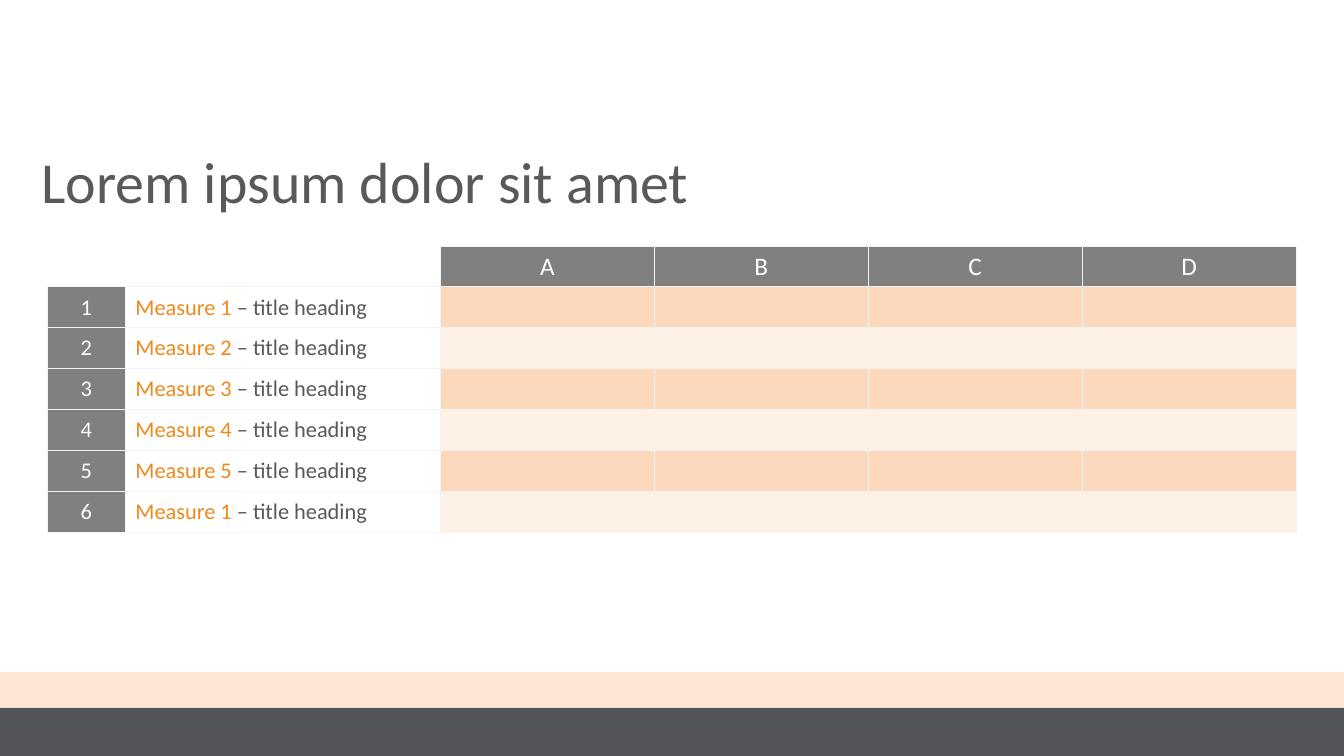
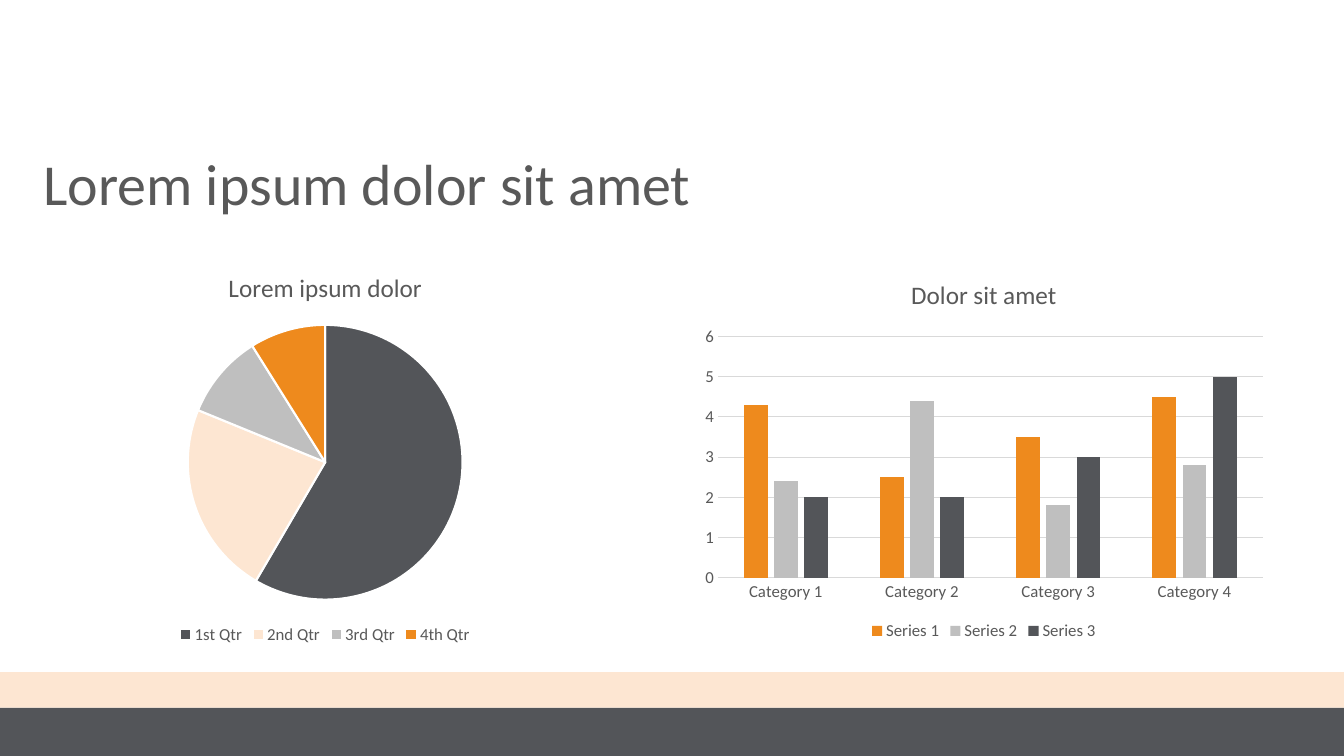
from pptx import Presentation
from pptx.chart.data import CategoryChartData
from pptx.dml.color import RGBColor
from pptx.enum.chart import XL_CHART_TYPE as ChartType, XL_LEGEND_POSITION as LegendPosition
from pptx.enum.chart import XL_TICK_MARK as TickMark
from pptx.enum.shapes import MSO_SHAPE as Shape
from pptx.enum.text import MSO_ANCHOR as Anchor, MSO_AUTO_SIZE as AutoSize, PP_ALIGN as Align
from pptx.oxml import parse_xml
from pptx.oxml.ns import nsdecls
from pptx.util import Cm, Pt

FONT = "Calibri"
COLORS = {name: RGBColor.from_string(value) for name, value in {
    "text": "595959", "white": "FFFFFF", "orange": "EE8A1D", "peach": "FDE6D2",
    "slate": "535559", "silver": "BFBFBF", "grid": "D9D9D9", "header": "808080",
    "row_dark": "FCD9BC", "row_light": "FEF1E6"}.items()}
CELL_BORDER = "F3F3F3"


def set_font(font, size, color):
    font.name, font.size, font.bold = FONT, Pt(size), False
    font.color.rgb = COLORS[color]


def style_chart(chart, title):
    set_font(chart.font, 12, "text")
    chart.has_title = True
    chart.chart_title.include_in_layout = False
    chart.chart_title.text_frame.text = title
    set_font(chart.chart_title.text_frame.paragraphs[0].font, 18, "text")
    chart.has_legend = True
    chart.legend.position = LegendPosition.BOTTOM
    chart.legend.include_in_layout = False
    set_font(chart.legend.font, 12, "text")


deck = Presentation()
deck.slide_width, deck.slide_height = Cm(33.87), Cm(19.05)
layout = deck.slide_layouts.get_by_name("Title Only")

# Pages with their titles
pages = []
for left, top in ((0.79, 3.89), (0.84, 3.96)):
    page = deck.slides.add_slide(layout)
    title = page.shapes.title
    title.left, title.top, title.width, title.height = Cm(left), Cm(top), Cm(30.66), Cm(1.6)
    frame = title.text_frame
    frame.text = "Lorem ipsum dolor sit amet"
    frame.auto_size, frame.vertical_anchor = AutoSize.NONE, Anchor.BOTTOM
    para = frame.paragraphs[0]
    para.alignment, para.line_spacing = Align.LEFT, 0.7
    set_font(para.font, 41.4, "text")
    pages.append(page)
table_page, chart_page = pages

# Footer bands, moved to the shared layout
for top, height, color in ((17.83, 1.22, "slate"), (16.94, 0.89, "peach")):
    band = table_page.shapes.add_shape(Shape.RECTANGLE, 0, Cm(top), deck.slide_width, Cm(height))
    band.shadow.inherit = False
    band.fill.solid()
    band.fill.fore_color.rgb = COLORS[color]
    band.line.fill.background()
    layout.shapes._spTree.append(band._element)

# Table of measures
measures = [1, 2, 3, 4, 5, 1]
rows = [["", "", "A", "B", "C", "D"]]
rows += [[str(number), f"Measure {measure} ", "", "", "", ""]
         for number, measure in enumerate(measures, 1)]
widths = [1.97, 7.94] + [5.39] * 4
table = table_page.shapes.add_table(len(rows), len(widths), Cm(1.19), Cm(6.2),
                                    Cm(sum(widths)), Cm(1.03 * len(rows))).table
for column, width in zip(table.columns, widths):
    column.width = Cm(width)
for r, row in enumerate(rows):
    for c, text in enumerate(row):
        cell = table.cell(r, c)
        cell.vertical_anchor = Anchor.MIDDLE
        is_corner = r == 0 and c < 2
        is_heading = not is_corner and (r == 0 or c == 0)
        if is_corner or c == 1:
            cell.fill.background()
        else:
            cell.fill.solid()
            body_color = "row_dark" if r % 2 else "row_light"
            cell.fill.fore_color.rgb = COLORS["header" if is_heading else body_color]
        para = cell.text_frame.paragraphs[0]
        set_font(para.font, 16 if r and c < 2 else 18, "white" if is_heading else "text")
        if is_heading:
            para.alignment = Align.CENTER
        if text:
            span = para.add_run()
            span.text = text
        if r and c == 1:
            span.font.color.rgb = COLORS["orange"]
            para.add_run().text = "– title heading"
        sides = ("R", "B") if is_corner else ("L", "R", "T", "B")
        for position, side in enumerate(sides):
            cell._tc.get_or_add_tcPr().insert(position, parse_xml(
                f'<a:ln{side} {nsdecls("a")} w="9525"><a:solidFill>'
                f'<a:srgbClr val="{CELL_BORDER}"/></a:solidFill></a:ln{side}>'))
table.cell(0, 0).merge(table.cell(0, 1))

# Column chart
data = CategoryChartData()
data.categories = [f"Category {number}" for number in range(1, 5)]
data.add_series("Series 1", (4.3, 2.5, 3.5, 4.5))
data.add_series("Series 2", (2.4, 4.4, 1.8, 2.8))
data.add_series("Series 3", (2, 2, 3, 5))
chart = chart_page.shapes.add_chart(ChartType.COLUMN_CLUSTERED, Cm(17.48), Cm(6.55),
                                    Cm(14.63), Cm(9.7), data).chart
style_chart(chart, "Dolor sit amet")
plot = chart.plots[0]
plot.gap_width, plot.overlap, plot.vary_by_categories = 219, -27, False
for series, color in zip(plot.series, ("orange", "silver", "slate")):
    series.format.fill.solid()
    series.format.fill.fore_color.rgb = COLORS[color]
for axis in (chart.category_axis, chart.value_axis):
    axis.major_tick_mark = axis.minor_tick_mark = TickMark.NONE
    set_font(axis.tick_labels.font, 12, "text")
chart.value_axis.format.line.fill.background()
chart.value_axis.minimum_scale, chart.value_axis.maximum_scale = 0, 6
chart.value_axis.major_unit = 1
for line in (chart.category_axis.format.line, chart.value_axis.major_gridlines.format.line):
    line.color.rgb = COLORS["grid"]
    line.width = Pt(0.75)

# Pie chart
data = CategoryChartData()
data.categories = ["1st Qtr", "2nd Qtr", "3rd Qtr", "4th Qtr"]
data.add_series("Series 1", (59, 23, 10, 9))
chart = chart_page.shapes.add_chart(ChartType.PIE, Cm(0.46), Cm(6.35),
                                    Cm(15.47), Cm(10), data).chart
style_chart(chart, "Lorem ipsum dolor")
for index, color in enumerate(("slate", "peach", "silver", "orange")):
    point = chart.plots[0].series[0].points[index]
    point.format.fill.solid()
    point.format.fill.fore_color.rgb = COLORS[color]
    point.format.line.color.rgb = COLORS["white"]
    point.format.line.width = Pt(1.5)

deck.save("out.pptx")
